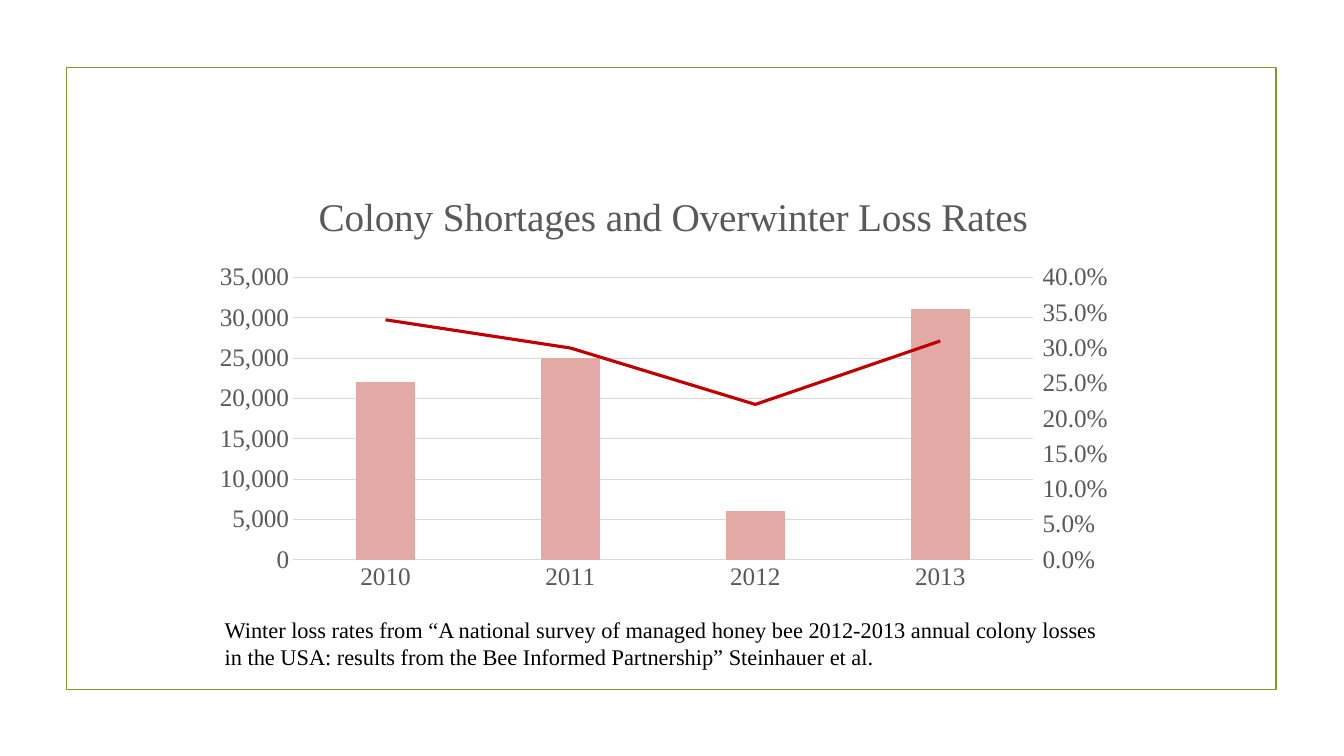
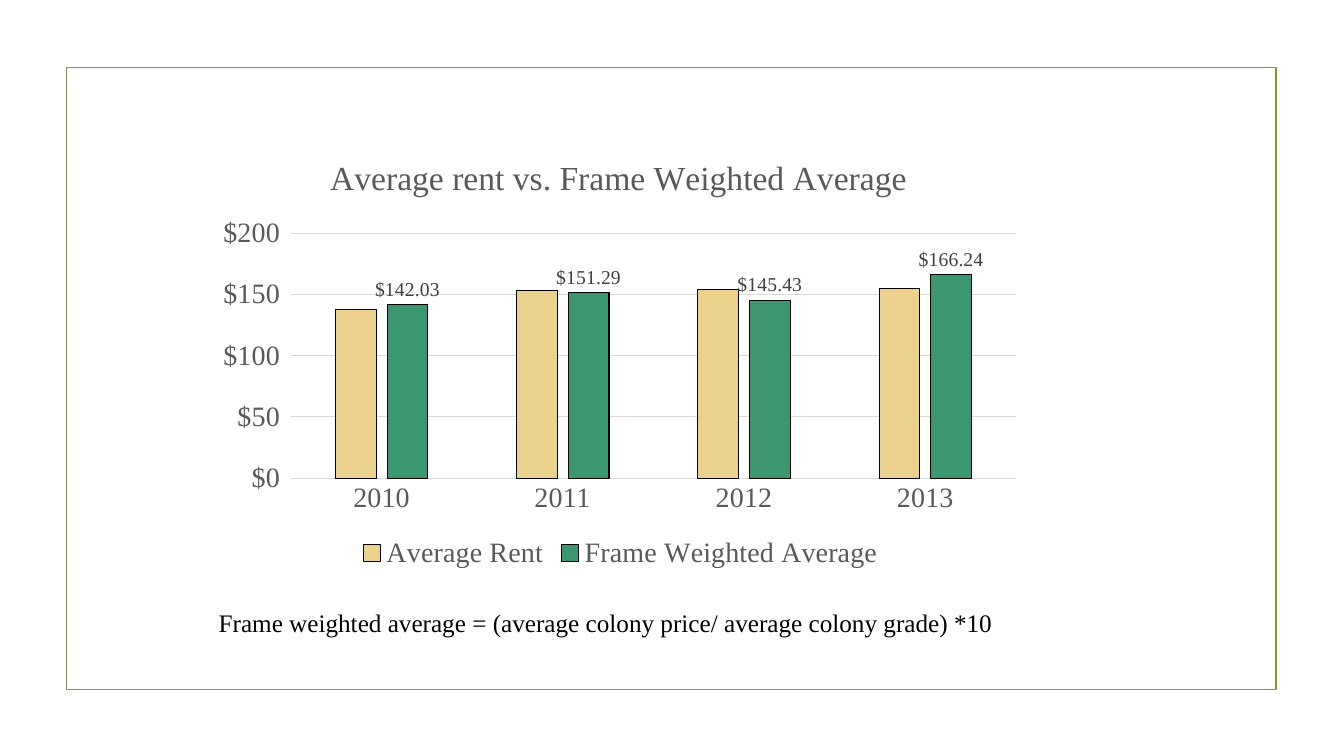
from copy import deepcopy

from pptx import Presentation
from pptx.chart.data import CategoryChartData as ChartData
from pptx.dml.color import RGBColor
from pptx.enum.chart import XL_CHART_TYPE as Kind, XL_LABEL_POSITION as Place
from pptx.enum.chart import XL_LEGEND_POSITION as Side, XL_MARKER_STYLE as Marker
from pptx.enum.chart import XL_TICK_MARK as Tick
from pptx.enum.shapes import MSO_SHAPE as Shape
from pptx.enum.text import MSO_AUTO_SIZE as Fit
from pptx.oxml import parse_xml
from pptx.oxml.ns import nsdecls, qn
from pptx.util import Inches, Pt

FACE = "Times New Roman"
OLIVE = RGBColor(0x83, 0x99, 0x2A)
BLACK = RGBColor(0, 0, 0)
GRAY = RGBColor(0x59, 0x59, 0x59)
DARK = RGBColor(0x40, 0x40, 0x40)
RULE = RGBColor(0xD9, 0xD9, 0xD9)
PINK = RGBColor(0xE3, 0xAA, 0xA5)
RED = RGBColor(0xC0, 0, 0)
SAND = RGBColor(0xEB, 0xD1, 0x8C)
GREEN = RGBColor(0x3C, 0x97, 0x70)
YEARS = ["2010", "2011", "2012", "2013"]


def set_font(font, size, color=GRAY):
    for key, value in {"name": FACE, "size": Pt(size), "bold": False}.items():
        setattr(font, key, value)
    font.color.rgb = color


def set_line(line, color, width=0.75):
    line.color.rgb = color
    line.width = Pt(width)


def add_frame(deck, slide):
    """Put the border on the slide master, so that all slides share it."""
    box = [Inches(n) for n in (0.66, 0.67, 12, 6.17)]
    frame = slide.shapes.add_shape(Shape.RECTANGLE, *box)
    frame.shadow.inherit = False
    frame.fill.background()
    set_line(frame.line, OLIVE, 1.25)
    deck.slide_master.shapes.element.append(frame.element)


def add_text(slide, box, text, size):
    shape = slide.shapes.add_textbox(*[Inches(n) for n in box])
    frame = shape.text_frame
    frame.word_wrap = True
    frame.auto_size = Fit.SHAPE_TO_FIT_TEXT
    frame.text = text
    set_font(frame.paragraphs[0].runs[0].font, size, BLACK)


def set_layout(parent, index, inner=False, **sizes):
    """Fix the place of a chart part, as fractions of the chart."""
    for old in parent.findall(qn("c:layout")):
        parent.remove(old)
    target = '<c:layoutTarget val="inner"/>' if inner else ""
    modes = "".join(f'<c:{k}Mode val="edge"/>' for k in "xy")
    values = "".join(f'<c:{k} val="{v}"/>' for k, v in sizes.items())
    parent.insert(index, parse_xml(
        f'<c:layout {nsdecls("c")}><c:manualLayout>{target}{modes}{values}'
        "</c:manualLayout></c:layout>"))


def add_title(chart, text, size, x, y):
    chart.has_title = True
    title = chart.chart_title
    title.text_frame.text = text
    set_font(title.text_frame.paragraphs[0].runs[0].font, size)
    set_layout(title.element, 1, x=x, y=y)


def set_axes(chart, size, top, step, code):
    across, up = chart.category_axis, chart.value_axis
    for axis in (across, up):
        axis.major_tick_mark = axis.minor_tick_mark = Tick.NONE
        set_font(axis.tick_labels.font, size)
    set_line(across.format.line, RULE)
    up.format.line.fill.background()
    set_line(up.major_gridlines.format.line, RULE)
    up.minimum_scale, up.maximum_scale, up.major_unit = 0, top, step
    up.tick_labels.number_format = code
    up.tick_labels.number_format_is_linked = False


def add_bars(slide, box, rows, colors, edges, size, scale):
    """Add a column chart; scale is the top, step and format of its axis."""
    data = ChartData()
    data.categories = YEARS
    for name, values in rows:
        data.add_series(name, values)
    chart = slide.shapes.add_chart(
        Kind.COLUMN_CLUSTERED, *[Inches(n) for n in box], data).chart
    set_font(chart.font, size, BLACK)
    chart.has_legend = False
    plot = chart.plots[0]
    plot.gap_width, plot.vary_by_categories = 219, False
    for bars, color, edge in zip(plot.series, colors, edges):
        bars.format.fill.solid()
        bars.format.fill.fore_color.rgb = color
        set_line(bars.format.line, edge)
    set_axes(chart, size, *scale)
    return chart


def move_line(chart, color, top, step, code):
    """Turn the last series into a line on a second axis at the right."""
    area = chart.element.find(".//" + qn("c:plotArea"))
    bars = area.find(qn("c:barChart"))
    row = bars.findall(qn("c:ser"))[-1]
    for tag in ("c:invertIfNegative", "c:spPr"):
        for part in row.findall(qn(tag)):
            row.remove(part)
    line = parse_xml(
        f'<c:lineChart {nsdecls("c")}><c:grouping val="standard"/>'
        '<c:varyColors val="0"/><c:marker val="1"/>'
        '<c:axId val="5001"/><c:axId val="5002"/></c:lineChart>')
    line.insert(2, row)
    bars.addnext(line)

    up = area.find(qn("c:valAx"))
    right, across = deepcopy(up), deepcopy(area.find(qn("c:catAx")))
    up.addnext(right)
    right.addnext(across)
    right.remove(right.find(qn("c:majorGridlines")))
    right.find(qn("c:numFmt")).set("formatCode", code)
    news = [
        (across, {"axId": 5001, "crossAx": 5002, "delete": 1}),
        (right, {"axId": 5002, "crossAx": 5001, "axPos": "r", "crosses": "max",
                 "majorTickMark": "out", "majorUnit": step}),
        (right.find(qn("c:scaling")), {"max": top}),
    ]
    for part, values in news:
        for tag, value in values.items():
            part.find(qn("c:" + tag)).set("val", str(value))

    trend = chart.plots[1].series[0]
    trend.smooth = False
    trend.marker.style = Marker.NONE
    set_line(trend.format.line, color, 2.25)


def add_labels(bars, size, code):
    labels = bars.data_labels
    formats = {"show_value": True, "number_format": code,
               "number_format_is_linked": False, "position": Place.OUTSIDE_END}
    for key, value in formats.items():
        setattr(labels, key, value)
    set_font(labels.font, size, DARK)


def add_legend(chart, size):
    chart.has_legend = True
    chart.legend.position = Side.BOTTOM
    chart.legend.include_in_layout = False
    set_font(chart.legend.font, size)


def set_plot(chart, **sizes):
    area = chart.element.find(".//" + qn("c:plotArea"))
    set_layout(area, 0, inner=True, **sizes)


def show_loss(slide):
    rows = [("", (22000, 25000, 6000, 31000)),
            ("", (0.34, 0.3, 0.22, 0.31))]
    chart = add_bars(slide, (1.99, 1.75, 9.17, 4.18), rows, [PINK], [PINK],
                     18, (35000, 5000, "#,##0"))
    move_line(chart, RED, 0.4, 0.05, "0.0%")
    add_title(chart, "Colony Shortages and Overwinter Loss Rates", 28, 0.12, 0.02)
    set_plot(chart, x=0.1, y=0.24, w=0.8, h=0.67)
    add_text(slide, (2.13, 6.06, 8.89, 0.94),
             "Winter loss rates from “A national survey of managed honey bee "
             "2012-2013 annual colony losses in the USA: results from the Bee "
             "Informed Partnership” Steinhauer et al.", 16)


def show_rent(slide):
    rows = [("Average Rent", (138, 153, 154, 155)),
            ("Frame Weighted Average", (142.03, 151.29, 145.43, 166.24))]
    chart = add_bars(slide, (2.07, 1.36, 8.17, 4.34), rows, [SAND, GREEN],
                     [BLACK, BLACK], 20,
                     (200, 50, r'"$"#,##0_);[Red]\("$"#,##0\)'))
    chart.plots[0].overlap = -27
    add_labels(chart.plots[0].series[1], 14, '"$"#,##0.00')
    add_legend(chart, 20)
    add_title(chart, "Average rent vs. Frame Weighted Average", 24, 0.14, 0.03)
    set_plot(chart, x=0.1, y=0.22, w=0.88, h=0.56)
    add_text(slide, (2.07, 5.98, 7.95, 0.71),
             "Frame weighted average = (average colony price/ "
             "average colony grade) *10", 18)


def main():
    deck = Presentation()
    deck.slide_width, deck.slide_height = Inches(13.33), Inches(7.5)
    blank = deck.slide_layouts[6]
    loss, rent = [deck.slides.add_slide(blank) for _ in range(2)]
    add_frame(deck, loss)
    show_loss(loss)
    show_rent(rent)
    deck.save("out.pptx")


if __name__ == "__main__":
    main()
